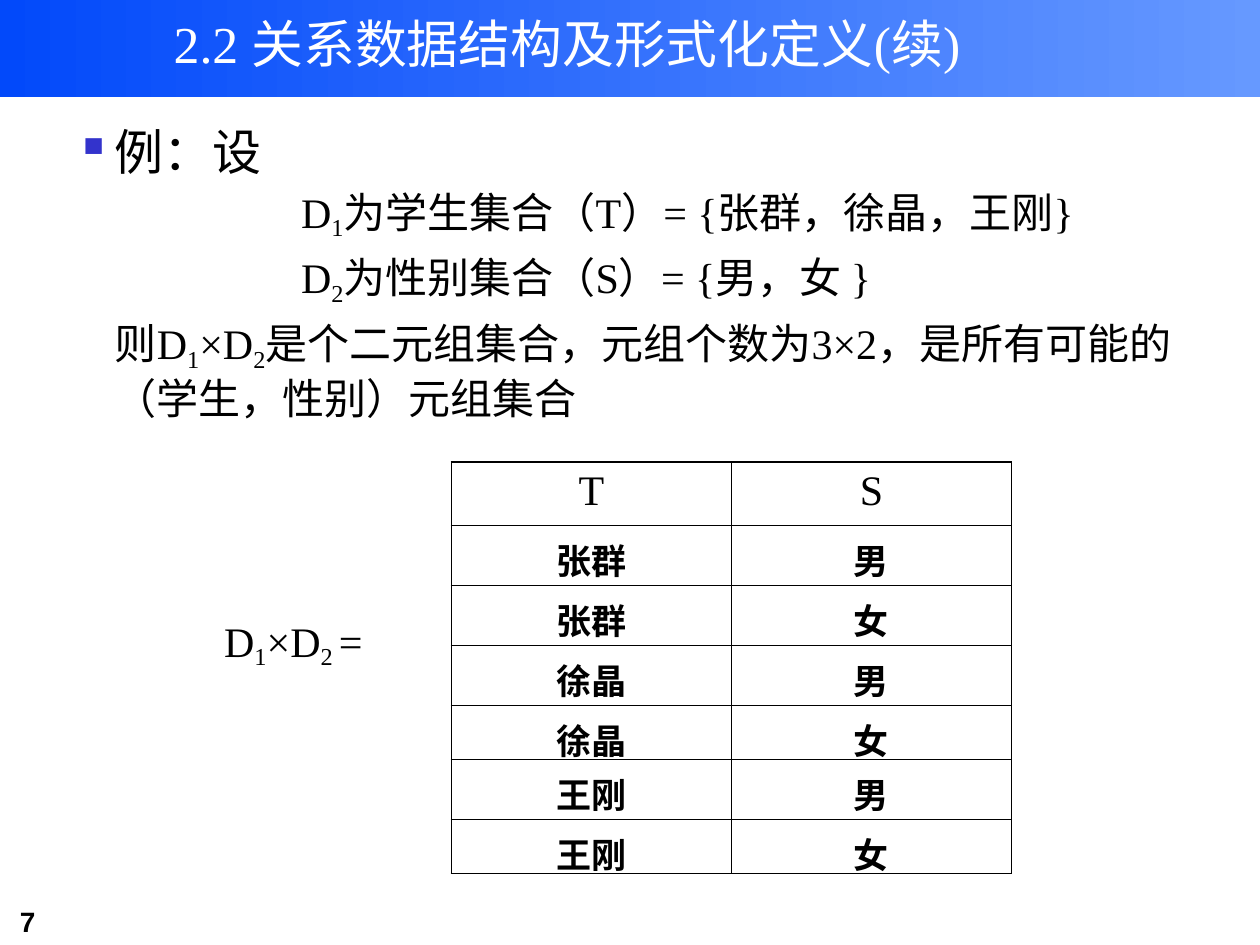
from pptx import Presentation, util as u
from pptx.dml import color
from pptx.enum import shapes, text
from pptx.oxml import ns
from lxml import etree

Pt = u.Pt
COLORS = {"band_start": "0249FA", "band_end": "6699FF", "ink": "000000",
          "title": "FFFFFF", "bullet": "3333CC"}
SERIF = "Times New Roman"
PAIRS = [(student, sex) for student in ("张群", "徐晶", "王刚") for sex in "男女"]


def rgb(name):
    """Return the named palette colour."""
    return color.RGBColor.from_string(COLORS[name])


def add_element(parent, tag, **attributes):
    """Append a drawing element with the given attributes."""
    return etree.SubElement(parent, ns.qn(f"a:{tag}"), attributes)


def style(paragraph, size, ink="ink", face=SERIF, bold=False):
    """Set the font of a whole paragraph."""
    font = paragraph.font
    font.size, font.name, font.bold = Pt(size), face, bold
    font.color.rgb = rgb(ink)


def write(paragraph, parts):
    """Write parts in turn, lowering every second one as a subscript."""
    for position, part in enumerate(parts):
        run = paragraph.add_run()
        run.text = part
        if position % 2:
            run.font._element.set("baseline", "-20000")


def add_text_box(slide, left, top, width, height, wrap=True):
    """Add a text box and return its frame."""
    frame = slide.shapes.add_textbox(Pt(left), Pt(top), Pt(width), Pt(height)).text_frame
    frame.word_wrap = wrap
    return frame


def add_header(slide, left, top, width, height):
    """Place the gradient band and the title on it."""
    band = slide.shapes.add_shape(shapes.MSO_SHAPE.RECTANGLE,
                                  Pt(left), Pt(top), Pt(width), Pt(height))
    band.shadow.inherit = False
    band.line.fill.background()
    band.fill.gradient()
    band.fill.gradient_angle = 0
    for stop, name in zip(band.fill.gradient_stops, ("band_start", "band_end")):
        stop.color.rgb = rgb(name)
    slide.shapes._spTree.insert(2, band._element)

    title = slide.shapes.title
    title.left, title.top = Pt(left + 66), Pt(top + 0.7)
    title.width, title.height = Pt(516), Pt(48)
    frame = title.text_frame
    frame.vertical_anchor = text.MSO_ANCHOR.MIDDLE
    frame.text = "2.2 关系数据结构及形式化定义(续)"
    frame.paragraphs[0].alignment = text.PP_ALIGN.CENTER
    style(frame.paragraphs[0], 29.6, "title")


def add_example(slide, left, top, width, height):
    """Place the example with its two sets and their product."""
    lines = [(["例：设"], 28, 58.5, 0),
             (["D", "1", "为学生集合（T）= {张群，徐晶，王刚}"], 24, 165, 3),
             (["D", "2", "为性别集合（S）= {男，女 }"], 24, 165, 6),
             (["则D", "1", "×D", "2",
               "是个二元组集合，元组个数为3×2，是所有可能的（学生，性别）元组集合"], 24, 58.5, 6)]
    frame = add_text_box(slide, left, top, width, height)
    for position, (parts, size, margin, gap) in enumerate(lines):
        line = frame.paragraphs[0] if position == 0 else frame.add_paragraph()
        props = line._p.get_or_add_pPr()
        props.set("marL", str(Pt(margin)))
        if position == 0:
            props.set("indent", str(Pt(-22.5)))
            add_element(add_element(props, "buClr"), "srgbClr", val=COLORS["bullet"])
            add_element(props, "buChar", char="▪")
        else:
            line.space_before = Pt(gap)
        write(line, parts)
        style(line, size)


def add_product_label(slide, left, top, width, height):
    """Place the label left of the product table."""
    label = add_text_box(slide, left, top, width, height, wrap=False).paragraphs[0]
    write(label, ["D", "1", "×D", "2 ", "="])
    style(label, 24)


def draw_borders(cell, weights):
    """Draw the left, right, top and bottom borders of a cell."""
    props = cell._tc.get_or_add_tcPr()
    for side, weight in zip("LRTB", weights):
        line = add_element(props, f"ln{side}", w=str(Pt(weight)))
        add_element(add_element(line, "solidFill"), "srgbClr", val=COLORS["ink"])


def add_product_table(slide, left, top, width, height):
    """Place the table of all student and sex pairs."""
    rows = [("T", "S")] + PAIRS
    row_heights = [36, 34.3, 34.3, 34.3, 31, 34.3, 31]
    table = slide.shapes.add_table(len(rows), 2, Pt(left), Pt(top),
                                   Pt(width), Pt(height)).table
    table.first_row = table.horz_banding = False
    outer, inner = 1.08, 0.45
    for r, (values, row_height) in enumerate(zip(rows, row_heights)):
        table.rows[r].height = Pt(row_height)
        for c, value in enumerate(values):
            cell = table.cell(r, c)
            edges = (c == 0, c == 1, r == 0, r == len(rows) - 1)
            draw_borders(cell, [outer if edge else inner for edge in edges])
            cell.fill.background()
            cell.margin_top, cell.margin_bottom = Pt(3.6 if r == 0 else 5), Pt(0)
            entry = cell.text_frame.paragraphs[0]
            entry.text = value
            entry.alignment = text.PP_ALIGN.CENTER
            style(entry, 24 if r == 0 else 20, bold=r > 0)


def add_page_number(slide, left, top, width, height):
    """Place the page number."""
    number = add_text_box(slide, left, top, width, height).paragraphs[0]
    number.text = "7"
    style(number, 16, face="Arial", bold=True)


def main():
    """Build the slide and save it."""
    deck = Presentation()
    deck.slide_width, deck.slide_height = Pt(720), Pt(540)
    slide = deck.slides.add_slide(deck.slide_layouts[5])
    add_header(slide, 0, 0, 720, 55.4)
    add_example(slide, 0, 66.2, 678, 186)
    add_product_label(slide, 121, 348, 99, 38)
    add_product_table(slide, 258, 264, 320, 235.2)
    add_page_number(slide, 4.3, 513.4, 88, 26.6)
    deck.save("out.pptx")


if __name__ == "__main__":
    main()
